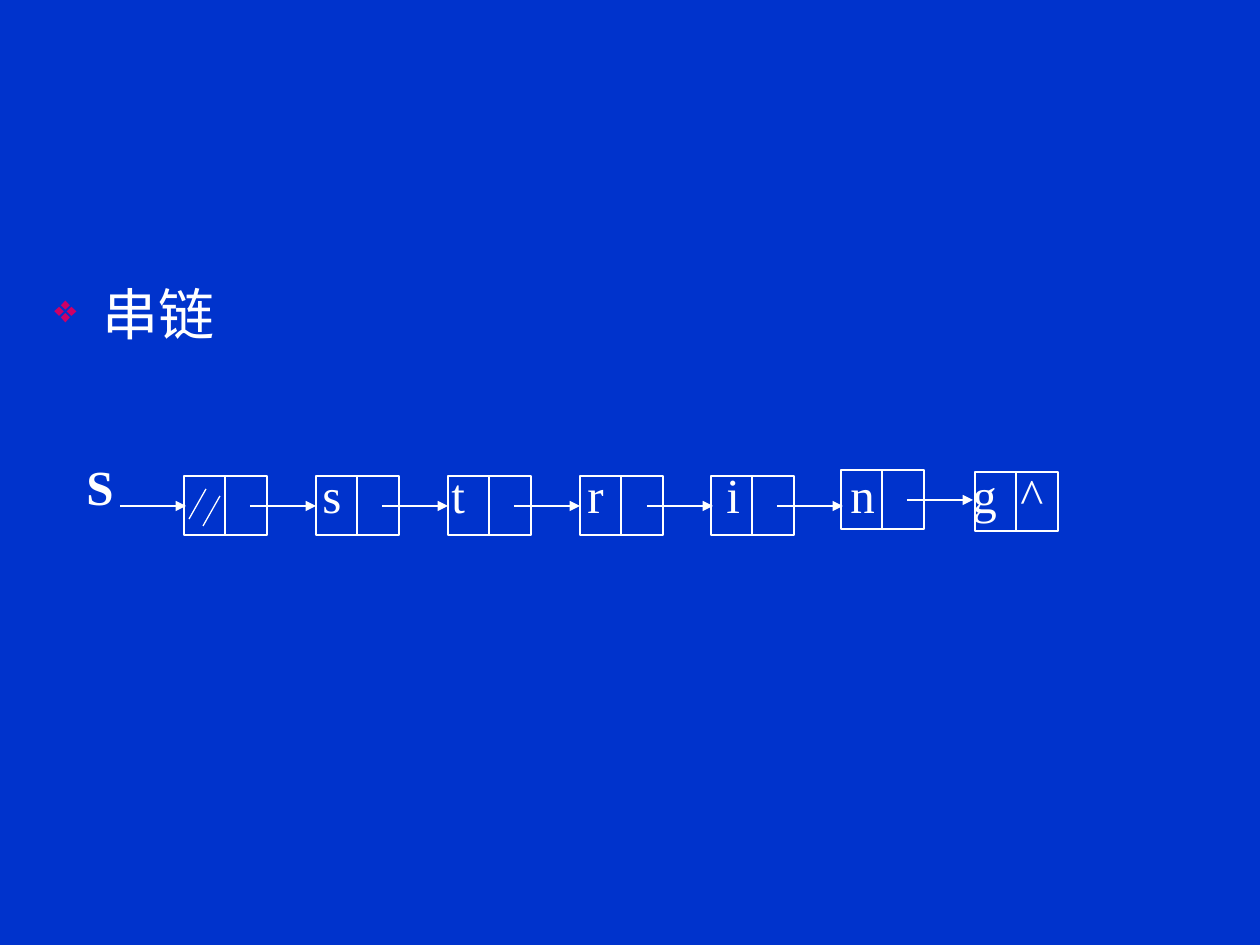
from pptx import Presentation
from pptx.dml.color import RGBColor
from pptx.enum.shapes import MSO_CONNECTOR, MSO_SHAPE
from pptx.enum.text import PP_ALIGN
from pptx.oxml.ns import qn
from pptx.util import Emu, Pt
from lxml import etree

RECT = MSO_SHAPE.RECTANGLE
LINE = MSO_CONNECTOR.STRAIGHT
LEFT, JUST = PP_ALIGN.LEFT, PP_ALIGN.JUSTIFY
SCALE = 914400 / 126

THEME = {
    "back": RGBColor(0x00, 0x33, 0xCC),
    "ink": RGBColor(0xFF, 0xFF, 0xFF),
    "mark": "CC0066",
    "head": {"name": "Arial", "size": Pt(32), "bold": False},
    "body": {"name": "Times New Roman", "size": Pt(28), "bold": False},
    "bold": {"name": "Times New Roman", "size": Pt(28), "bold": True},
    "line": Pt(0.75),
}


def px(*vals):
    return [Emu(round(v * SCALE)) for v in vals]


def draw(x1, y1, x2, y2, arrow=False):
    line = slide.shapes.add_connector(LINE, *px(x1, y1, x2, y2))
    line.line.color.rgb = THEME["ink"]
    line.line.width = THEME["line"]
    if arrow:
        etree.SubElement(line.line._get_or_add_ln(), qn("a:tailEnd"), type="triangle")
    etree.SubElement(line._element.spPr, qn("a:effectLst"))


prs = Presentation()
prs.slide_width, prs.slide_height = px(1260, 945)
slide = prs.slides.add_slide(prs.slide_layouts[6])
slide.background.fill.solid()
slide.background.fill.fore_color.rgb = THEME["back"]

texts = [
    ("串链", (42, 273, 1177, 536), "head", LEFT, 1.0),
    ("s\tt\tr\ti\tn\tg\t^", (310, 470, 876, 84), "body", JUST, 0.8),
    ("S", (74, 462, 103, 73), "bold", JUST, 0.8),
]
paras = []
for text, box, style, align, space in texts:
    frame = slide.shapes.add_textbox(*px(*box)).text_frame
    frame.word_wrap = True
    para = frame.paragraphs[0]
    para.alignment = align
    para.line_spacing = space
    run = para.add_run()
    run.text = text
    run.font.color.rgb = THEME["ink"]
    for key, val in THEME[style].items():
        setattr(run.font, key, val)
    paras.append(para)

title, chars, _ = paras
props = title._p.get_or_add_pPr()
dent = px(48)[0]
props.set("marL", str(dent))
props.set("indent", str(-dent))
tint = etree.SubElement(props, qn("a:buClr"))
etree.SubElement(tint, qn("a:srgbClr"), val=THEME["mark"])
etree.SubElement(props, qn("a:buSzPct"), val="70000")
etree.SubElement(props, qn("a:buChar"), char="❖")

tabs = etree.SubElement(chars._p.get_or_add_pPr(), qn("a:tabLst"))
for stop in px(129, 265, 404, 528, 650, 698):
    etree.SubElement(tabs, qn("a:tab"), pos=str(stop), algn="l")

wide, high, split = 83, 59, 41
nodes = [(184, 476), (316, 476), (448, 476), (580, 476), (711, 476), (841, 470), (975, 472)]
for x, y in nodes:
    node = slide.shapes.add_shape(RECT, *px(x, y, wide, high))
    node.shadow.inherit = False
    node.fill.background()
    node.line.color.rgb = THEME["ink"]
    node.line.width = THEME["line"]
    draw(x + split, y, x + split, y + high)

links = [(120, 506), (250, 506), (382, 506), (514, 506), (647, 506), (777, 506), (907, 500)]
for x, y in links:
    draw(x, y, x + 66, y, arrow=True)

for x, y in [(206, 489), (220, 496)]:
    draw(x, y, x - 17, y + 30)

prs.save("out.pptx")
